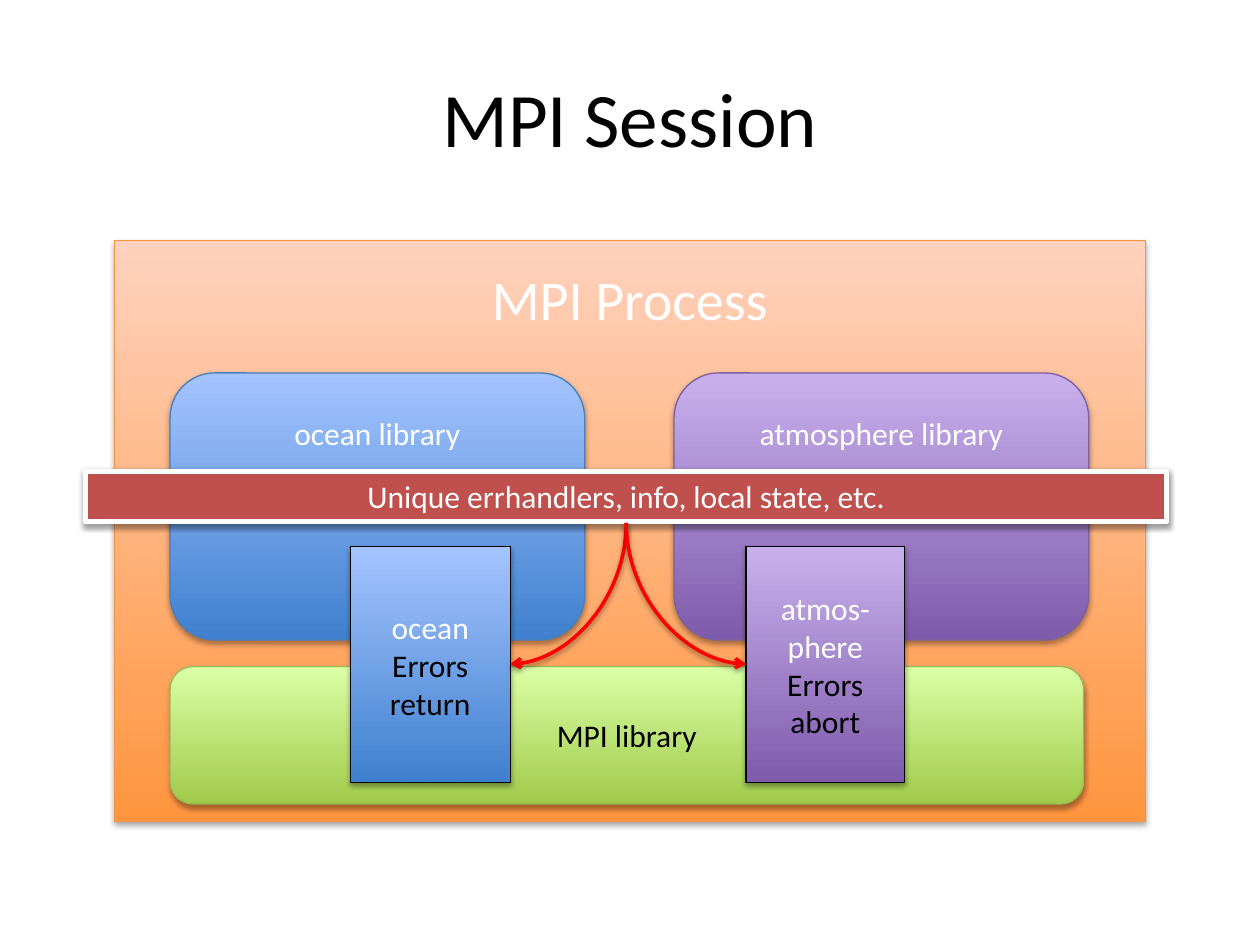
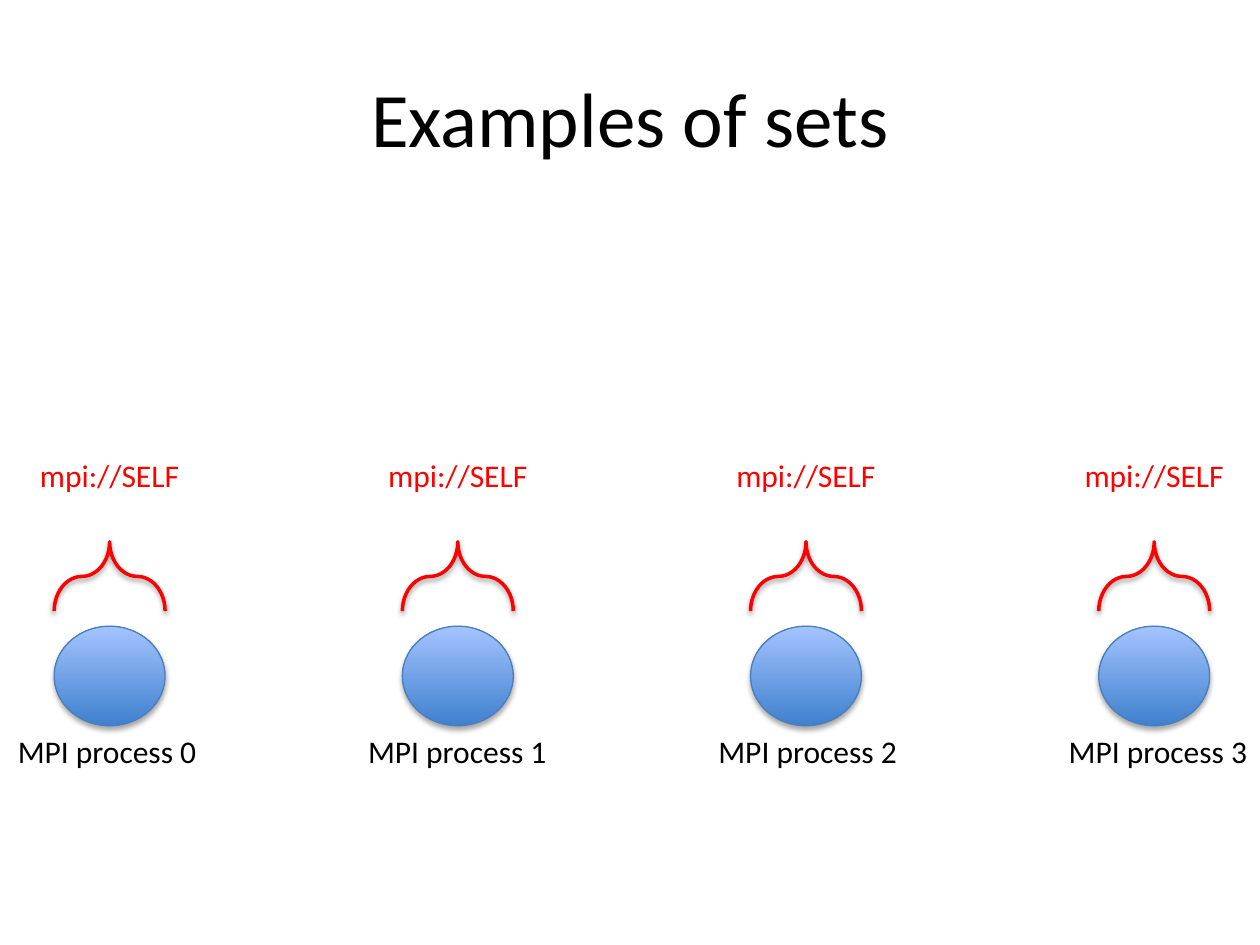
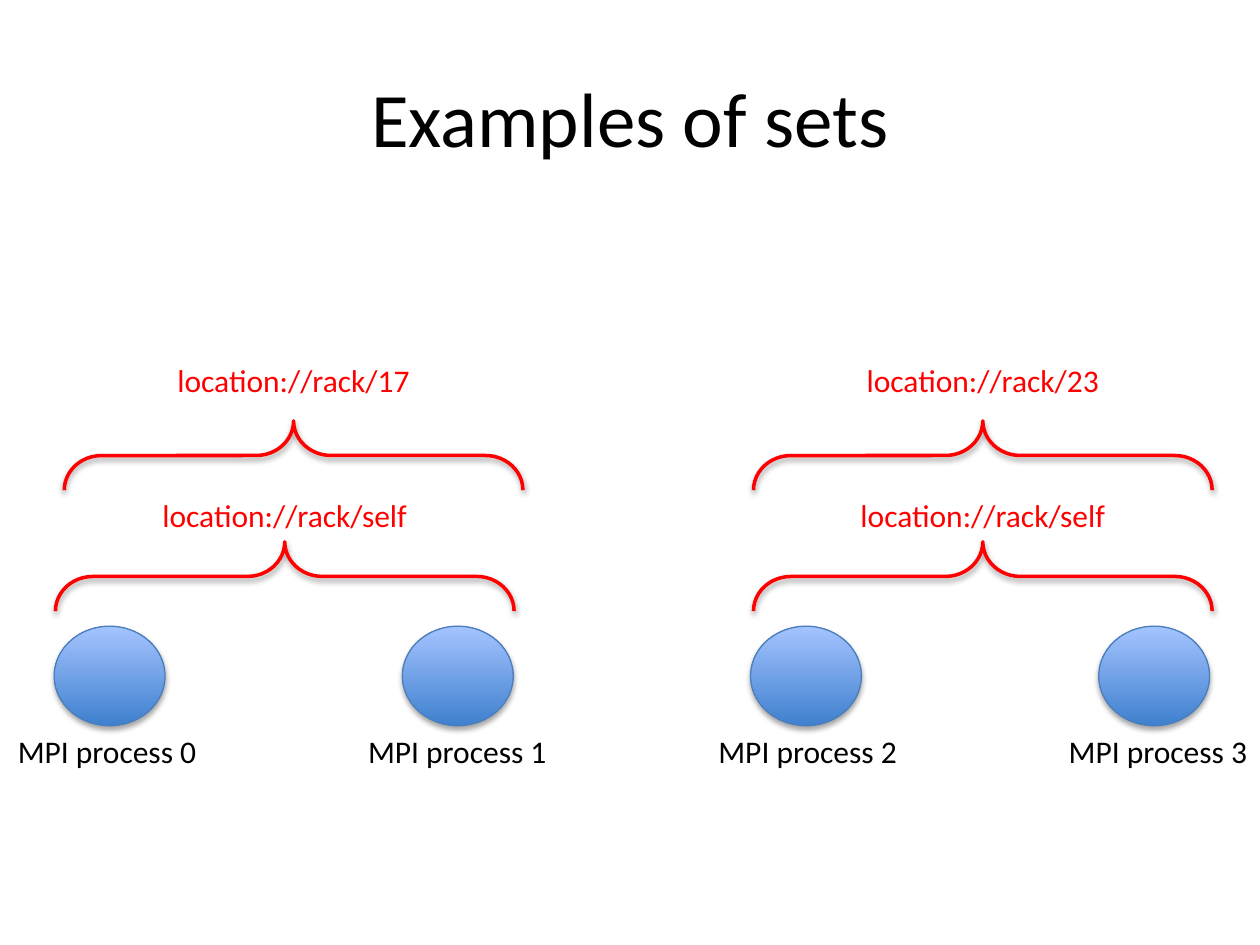
from lxml import etree
from pptx import Presentation
from pptx.dml.color import RGBColor
from pptx.enum.shapes import MSO_CONNECTOR, MSO_SHAPE
from pptx.enum.text import MSO_ANCHOR, PP_ALIGN
from pptx.oxml.ns import qn
from pptx.util import Inches, Pt

RECTANGLE = MSO_SHAPE.RECTANGLE
ROUNDED = MSO_SHAPE.ROUNDED_RECTANGLE
OVAL = MSO_SHAPE.OVAL
BRACE = MSO_SHAPE.LEFT_BRACE
CURVE = MSO_CONNECTOR.CURVE
TOP, MIDDLE = MSO_ANCHOR.TOP, MSO_ANCHOR.MIDDLE
CENTER = PP_ALIGN.CENTER

BLACK = RGBColor(0x00, 0x00, 0x00)
WHITE = RGBColor(0xFF, 0xFF, 0xFF)
RED = RGBColor(0xFF, 0x00, 0x00)
BRICK = RGBColor(0xC0, 0x50, 0x4D)
# Gradients run from the bottom colour to the top colour.
ORANGE = (RGBColor(0xFF, 0x95, 0x3E), RGBColor(0xFF, 0xD2, 0xBD))
BLUE = (RGBColor(0x3F, 0x80, 0xCE), RGBColor(0xA4, 0xC4, 0xFF))
PURPLE = (RGBColor(0x7F, 0x5B, 0xAB), RGBColor(0xC8, 0xB0, 0xED))
GREEN = (RGBColor(0xA0, 0xCA, 0x4A), RGBColor(0xDA, 0xFF, 0xA5))
ORANGE_EDGE = RGBColor(0xF6, 0x92, 0x40)
BLUE_EDGE = RGBColor(0x4B, 0x7E, 0xBC)
PURPLE_EDGE = RGBColor(0x7D, 0x60, 0xA0)
GREEN_EDGE = RGBColor(0x98, 0xB9, 0x55)

FONT = "Calibri"
SOFT_SHADOW = {"dist": 23000, "alpha": 35000}
STRONG_SHADOW = {"dist": 20000, "alpha": 38000}

PROCESS_COUNT = 4
FIRST_PROCESS, LAST_PROCESS = 0.87, 9.16
PROCESS_PITCH = (LAST_PROCESS - FIRST_PROCESS) / (PROCESS_COUNT - 1)
PROCESS_CENTERS = [FIRST_PROCESS + i * PROCESS_PITCH for i in range(PROCESS_COUNT)]
PROCESS_WIDTH = 0.88
BRACE_DEPTH = 0.55
BRACE_TOP = 4.3


def cast_shadow(shape, look):
    effects = shape._element.spPr.find(qn("a:effectLst"))
    shadow = etree.SubElement(effects, qn("a:outerShdw"), blurRad="40000",
                              dist=str(look["dist"]), dir="5400000", rotWithShape="0")
    color = etree.SubElement(shadow, qn("a:srgbClr"), val=str(BLACK))
    etree.SubElement(color, qn("a:alpha"), val=str(look["alpha"]))


class Deck:
    def __init__(self):
        self.prs = Presentation()
        self.prs.slide_width, self.prs.slide_height = Inches(10), Inches(7.5)
        self.shapes = None

    def new_slide(self, title):
        self.shapes = self.prs.slides.add_slide(self.prs.slide_layouts[6]).shapes
        self.text(title, 5, 0.3, 9, 1.25, size=44, anchor=MIDDLE, wrap=True)

    def label(self, shape, paragraphs, size=18, anchor=MIDDLE, wrap=True, inset=0.05):
        """Fill a shape with centred (text, colour) paragraphs."""
        frame = shape.text_frame
        settings = {"word_wrap": wrap, "vertical_anchor": anchor, "margin_top": Inches(inset)}
        for name, value in settings.items():
            setattr(frame, name, value)
        for i, (text, color) in enumerate(paragraphs):
            paragraph = frame.add_paragraph() if i else frame.paragraphs[0]
            paragraph.alignment = CENTER
            run = paragraph.add_run()
            run.text = text
            for name, value in {"name": FONT, "size": Pt(size)}.items():
                setattr(run.font, name, value)
            run.font.color.rgb = color

    def text(self, text, center, top, width, height=0.4, color=BLACK, size=18,
             anchor=TOP, wrap=False):
        box = self.shapes.add_textbox(Inches(center - width / 2), Inches(top),
                                      Inches(width), Inches(height))
        self.label(box, [(text, color)], size, anchor, wrap)

    def shape(self, kind, box, fill, edge, edge_width=0.75, shadow=SOFT_SHADOW):
        """Add a preset shape; fill is a gradient pair, one colour or None."""
        shape = self.shapes.add_shape(kind, *map(Inches, box))
        if fill is None:
            shape.fill.background()
        elif fill in (ORANGE, BLUE, PURPLE, GREEN):
            shape.fill.gradient()
            shape.fill.gradient_angle = 90
            for stop, color in zip(shape.fill.gradient_stops, fill):
                stop.color.rgb = color
        else:
            shape.fill.solid()
            shape.fill.fore_color.rgb = fill
        shape.line.color.rgb = edge
        shape.line.width = Pt(edge_width)
        shape.shadow.inherit = False
        cast_shadow(shape, shadow)
        return shape

    def brace(self, center, top, span):
        """Add a brace that opens downwards over the given span."""
        middle = top + BRACE_DEPTH / 2
        box = (center - BRACE_DEPTH / 2, middle - span / 2, BRACE_DEPTH, span)
        brace = self.shape(BRACE, box, None, RED, 2, STRONG_SHADOW)
        brace.adjustments[0] = 0.54
        brace.rotation = 90

    def curved_arrow(self, start, end):
        """Add an arrow that leaves downwards and arrives sideways."""
        (x1, y1), (x2, y2) = start, end
        fall, reach = y2 - y1, abs(x2 - x1)
        left, top = (x1 + x2 - fall) / 2, (y1 + y2 - reach) / 2
        right, bottom = left + fall, top + reach
        leftward = x2 < x1
        begin_x, end_x = (left, right) if leftward else (right, left)
        arrow = self.shapes.add_connector(CURVE, *map(Inches, (begin_x, top, end_x, bottom)))
        properties = arrow._element.spPr
        properties.find(qn("a:xfrm")).set("rot", "5400000" if leftward else "16200000")
        properties.find(qn("a:prstGeom")).set("prst", "curvedConnector2")
        arrow.line.color.rgb = RED
        arrow.line.width = Pt(2)
        etree.SubElement(properties.find(qn("a:ln")), qn("a:tailEnd"), type="arrow")
        etree.SubElement(properties, qn("a:effectLst"))
        cast_shadow(arrow, STRONG_SHADOW)

    def process_row(self):
        for center in PROCESS_CENTERS:
            box = (center - PROCESS_WIDTH / 2, 4.97, PROCESS_WIDTH, 0.79)
            self.shape(OVAL, box, BLUE, BLUE_EDGE)
        for i in range(PROCESS_COUNT):
            self.text(f"MPI process {i}", 0.85 + 2.78 * i, 5.76, 1.64)


def session_slide(deck):
    deck.new_slide("MPI Session")
    process = deck.shape(RECTANGLE, (0.91, 1.91, 8.18, 4.61), ORANGE, ORANGE_EDGE)
    deck.label(process, [("MPI Process", WHITE)], size=32, anchor=TOP, inset=0.19)

    for name, left, fill, edge in (("ocean library", 1.35, BLUE, BLUE_EDGE),
                                   ("atmosphere library", 5.35, PURPLE, PURPLE_EDGE)):
        library = deck.shape(ROUNDED, (left, 2.96, 3.29, 2.12), fill, edge)
        deck.label(library, [(name, WHITE)], anchor=TOP, inset=0.22)
    mpi_library = deck.shape(ROUNDED, (1.35, 5.29, 7.25, 1.09), GREEN, GREEN_EDGE)
    deck.label(mpi_library, [("MPI library", BLACK)])

    for name, errors, left, width, fill in (
            ("ocean", "Errors return", 2.78, 1.27, BLUE),
            ("atmos-phere", "Errors abort", 5.92, 1.26, PURPLE)):
        session = deck.shape(RECTANGLE, (left, 4.34, width, 1.87), fill, BLACK)
        deck.label(session, [(name, WHITE), (errors, BLACK)])

    band = deck.shape(RECTANGLE, (0.68, 3.74, 8.58, 0.4), BRICK, WHITE, 3, STRONG_SHADOW)
    deck.label(band, [("Unique errhandlers, info, local state, etc.", WHITE)], anchor=TOP)
    for session_side in (4.05, 5.92):
        deck.curved_arrow((4.97, 4.15), (session_side, 5.27))


def self_sets_slide(deck):
    deck.new_slide("Examples of sets")
    deck.process_row()
    for center in PROCESS_CENTERS:
        deck.brace(center, BRACE_TOP, PROCESS_WIDTH)
        deck.text("mpi://SELF", center, 3.57, 1.32, color=RED)


def rack_sets_slide(deck):
    deck.new_slide("Examples of sets")
    deck.process_row()
    for self_center, rack_center, rack in ((2.26, 2.33, 17), (7.8, 7.8, 23)):
        deck.brace(self_center, BRACE_TOP, 3.64)
        deck.text("location://rack/self", self_center, 3.89, 2.17, color=RED)
        deck.text(f"location://rack/{rack}", rack_center, 2.82, 2.07, color=RED)
        deck.brace(rack_center, 3.34, 3.64)


def main():
    deck = Deck()
    session_slide(deck)
    self_sets_slide(deck)
    rack_sets_slide(deck)
    deck.prs.save("out.pptx")


if __name__ == "__main__":
    main()
